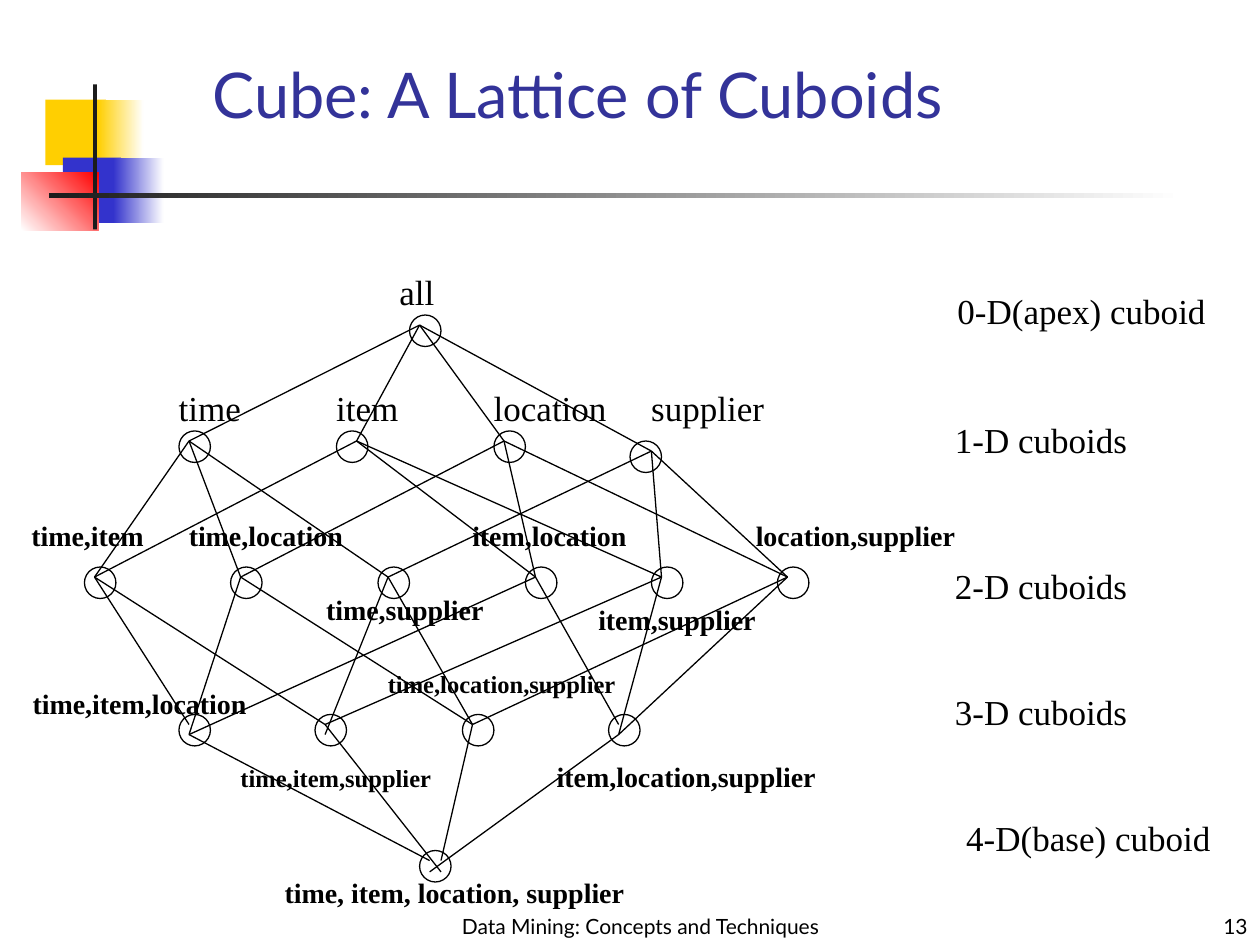
from dataclasses import dataclass
from itertools import product

from lxml import etree
from pptx import Presentation
from pptx.dml.color import RGBColor
from pptx.enum.shapes import MSO_CONNECTOR, MSO_SHAPE
from pptx.enum.text import MSO_ANCHOR, MSO_AUTO_SIZE, PP_ALIGN
from pptx.oxml.ns import qn
from pptx.util import Inches, Pt

RECTANGLE, CIRCLE = MSO_SHAPE.RECTANGLE, MSO_SHAPE.FLOWCHART_CONNECTOR
STRAIGHT = MSO_CONNECTOR.STRAIGHT
LEFT, CENTER, RIGHT = PP_ALIGN.LEFT, PP_ALIGN.CENTER, PP_ALIGN.RIGHT
TOP, BOTTOM = MSO_ANCHOR.TOP, MSO_ANCHOR.BOTTOM
FIT_TEXT = MSO_AUTO_SIZE.SHAPE_TO_FIT_TEXT


@dataclass(frozen=True)
class Theme:
    sans: str = "Lato"
    serif: str = "Times New Roman"
    ink: str = "000000"
    paper: str = "FFFFFF"
    title: str = "333399"
    yellow: str = "FFCF01"
    blue: str = "3333CC"
    red: str = "FF0000"
    bar: str = "1C1C1C"
    title_size: int = 36
    large: int = 20
    medium: int = 16
    small: int = 14
    footer_size: int = 12
    hairline: float = 0.75


THEME = Theme()
NODE_SIZE = 0.25
LABEL_HEIGHT = {THEME.large: 0.44, THEME.medium: 0.37, THEME.small: 0.34}
LABEL_SLACK = 0.02  # keeps each label on one line


@dataclass(frozen=True)
class Block:
    box: tuple[float, float, float, float]
    color: str
    fade_to: str | None = None
    angle: float = 0


@dataclass(frozen=True)
class Label:
    text: str
    left: float
    top: float
    width: float
    size: int = THEME.medium
    bold: bool = True
    align: PP_ALIGN = LEFT


@dataclass(frozen=True)
class Cuboid:
    dims: str  # initials of its dimensions
    left: float
    top: float
    label: Label
    port: tuple[float, float] = (0.08, 0.08)  # where its edges meet

    def port_at(self, port: tuple[float, float]) -> tuple[float, float]:
        return self.left + port[0], self.top + port[1]


def plain(text: str, left: float, top: float, width: float,
          align: PP_ALIGN = LEFT) -> Label:
    return Label(text, left, top, width, THEME.large, False, align)


BLOCKS = [
    Block((0.36, 0.79, 0.48, 0.52), THEME.yellow),
    Block((0.78, 0.79, 0.36, 0.52), THEME.yellow, THEME.paper),
    Block((0.5, 1.25, 0.46, 0.52), THEME.blue),
    Block((0.9, 1.25, 0.4, 0.52), THEME.blue, THEME.paper),
    Block((0.17, 1.37, 0.61, 0.46), THEME.paper, THEME.red, 45),
    Block((0.74, 0.67, 0.03, 1.15), THEME.bar),
    Block((0.39, 1.53, 9, 0.04), THEME.bar, THEME.paper),
]

CUBOIDS = [
    Cuboid("", 3.25, 2.5, plain("all", 3.06, 2.1, 0.48, CENTER)),
    Cuboid("t", 1.42, 3.42, plain("time", 1.32, 3.02, 0.69)),
    Cuboid("i", 2.67, 3.42, plain("item", 2.57, 3.02, 0.69), (0.16, 0.08)),
    Cuboid("l", 3.92, 3.42, plain("location", 3.82, 3.02, 1.09)),
    Cuboid("s", 5, 3.5, plain("supplier", 5.07, 3.02, 1.09), (0.17, 0.08)),
    Cuboid("ti", 0.67, 4.5, Label("time,item", 0.15, 4.07, 1.09)),
    Cuboid("tl", 1.83, 4.5, Label("time,location", 1.4, 4.07, 1.42)),
    Cuboid("ts", 3, 4.5, Label("time,supplier", 2.49, 4.65, 1.45)),
    Cuboid("il", 4.17, 4.5, Label("item,location", 3.65, 4.07, 1.42)),
    Cuboid("is", 5.17, 4.5, Label("item,supplier", 4.65, 4.73, 1.45)),
    Cuboid("ls", 6.17, 4.5, Label("location,supplier", 5.9, 4.07, 1.78)),
    Cuboid("til", 1.42, 5.67, Label("time,item,location", 0.16, 5.4, 1.9),
           (0.08, 0.16)),
    Cuboid("tis", 2.5, 5.67,
           Label("time,item,supplier", 1.81, 6.01, 1.71, THEME.small)),
    Cuboid("tls", 3.67, 5.67,
           Label("time,location,supplier", 2.98, 5.26, 2.01, THEME.small)),
    Cuboid("ils", 4.83, 5.67, Label("item,location,supplier", 4.32, 5.98, 2.25),
           (0.08, 0.16)),
    Cuboid("tils", 3.33, 6.75,
           Label("time, item, location, supplier", 2.16, 6.9, 2.89)),
]

# Edges that end at another point of the child than its own port
END_PORTS = {
    ("ti", "til"): (0.08, 0.08),
    ("ts", "tis"): (0.08, 0.16),
    ("il", "ils"): (0.08, 0.08),
    ("tis", "tils"): (0.17, 0.17),
    ("tls", "tils"): (0.17, 0.08),
    ("ils", "tils"): (0.08, 0.17),
}

LEVELS = [
    plain("0-D(apex) cuboid", 7.5, 2.25, 2.17),
    plain("1-D cuboids", 7.48, 3.27, 1.57),
    plain("2-D cuboids", 7.48, 4.43, 1.57),
    plain("3-D cuboids", 7.48, 5.43, 1.57),
    plain("4-D(base) cuboid", 7.57, 6.43, 2.14),
]


def rgb(color: str) -> RGBColor:
    return RGBColor.from_string(color)


def draw_block(slide, block: Block) -> None:
    shape = slide.shapes.add_shape(RECTANGLE, *map(Inches, block.box))
    shape.shadow.inherit = False
    shape.line.fill.background()
    if block.fade_to is None:
        shape.fill.solid()
        shape.fill.fore_color.rgb = rgb(block.color)
        return
    shape.fill.gradient()
    shape.fill.gradient_angle = block.angle
    for stop, color in zip(shape.fill.gradient_stops, (block.color, block.fade_to)):
        stop.color.rgb = rgb(color)


def draw_text(slide, text: str, box: tuple[float, float, float, float], size: int,
              font: str, color: str = THEME.ink, align: PP_ALIGN = LEFT,
              anchor: MSO_ANCHOR = TOP, bold: bool = False, wrap: bool = True) -> None:
    frame = slide.shapes.add_textbox(*map(Inches, box)).text_frame
    frame.word_wrap = wrap
    if not wrap:
        frame.auto_size = FIT_TEXT
    frame.vertical_anchor = anchor
    paragraph = frame.paragraphs[0]
    paragraph.text = text
    paragraph.alignment = align
    paragraph.font.name = font
    paragraph.font.size = Pt(size)
    paragraph.font.bold = bold
    paragraph.font.color.rgb = rgb(color)


def draw_label(slide, label: Label) -> None:
    box = (label.left, label.top, label.width + LABEL_SLACK, LABEL_HEIGHT[label.size])
    draw_text(slide, label.text, box, label.size, THEME.serif,
              align=label.align, bold=label.bold, wrap=False)


def draw_node(slide, cuboid: Cuboid) -> None:
    box = (cuboid.left, cuboid.top, NODE_SIZE, NODE_SIZE)
    node = slide.shapes.add_shape(CIRCLE, *map(Inches, box))
    node.shadow.inherit = False
    node.fill.solid()
    node.fill.fore_color.rgb = rgb(THEME.paper)
    node.line.color.rgb = rgb(THEME.ink)
    node.line.width = Pt(THEME.hairline)


def draw_edge(slide, parent: Cuboid, child: Cuboid) -> None:
    start = parent.port_at(parent.port)
    end = child.port_at(END_PORTS.get((parent.dims, child.dims), child.port))
    edge = slide.shapes.add_connector(STRAIGHT, *map(Inches, start + end))
    edge.line.color.rgb = rgb(THEME.ink)
    edge.line.width = Pt(THEME.hairline)
    etree.SubElement(edge._element.spPr, qn("a:effectLst"))


def main() -> None:
    deck = Presentation()
    deck.slide_width, deck.slide_height = Inches(10), Inches(7.5)
    slide = deck.slides.add_slide(deck.slide_layouts[6])

    # Corner ornament, footer and title
    for block in BLOCKS:
        draw_block(slide, block)
    draw_text(slide, "Data Mining: Concepts and Techniques", (3.5, 6.92, 3.17, 0.58),
              THEME.footer_size, THEME.sans, align=CENTER, anchor=BOTTOM)
    draw_text(slide, "13", (7.92, 7, 2.08, 0.5),
              THEME.footer_size, THEME.sans, align=RIGHT, anchor=BOTTOM)
    draw_text(slide, "Cube: A Lattice of Cuboids", (1.59, 0.42, 6.33, 0.67),
              THEME.title_size, THEME.sans, THEME.title, anchor=BOTTOM)

    # Lattice: each cuboid joins those with exactly one more dimension
    for cuboid in CUBOIDS:
        draw_node(slide, cuboid)
    for parent, child in product(CUBOIDS, repeat=2):
        if len(child.dims) == len(parent.dims) + 1 and set(parent.dims) < set(child.dims):
            draw_edge(slide, parent, child)

    # Cuboid names and level names
    for label in [cuboid.label for cuboid in CUBOIDS] + LEVELS:
        draw_label(slide, label)

    deck.save("out.pptx")


if __name__ == "__main__":
    main()
